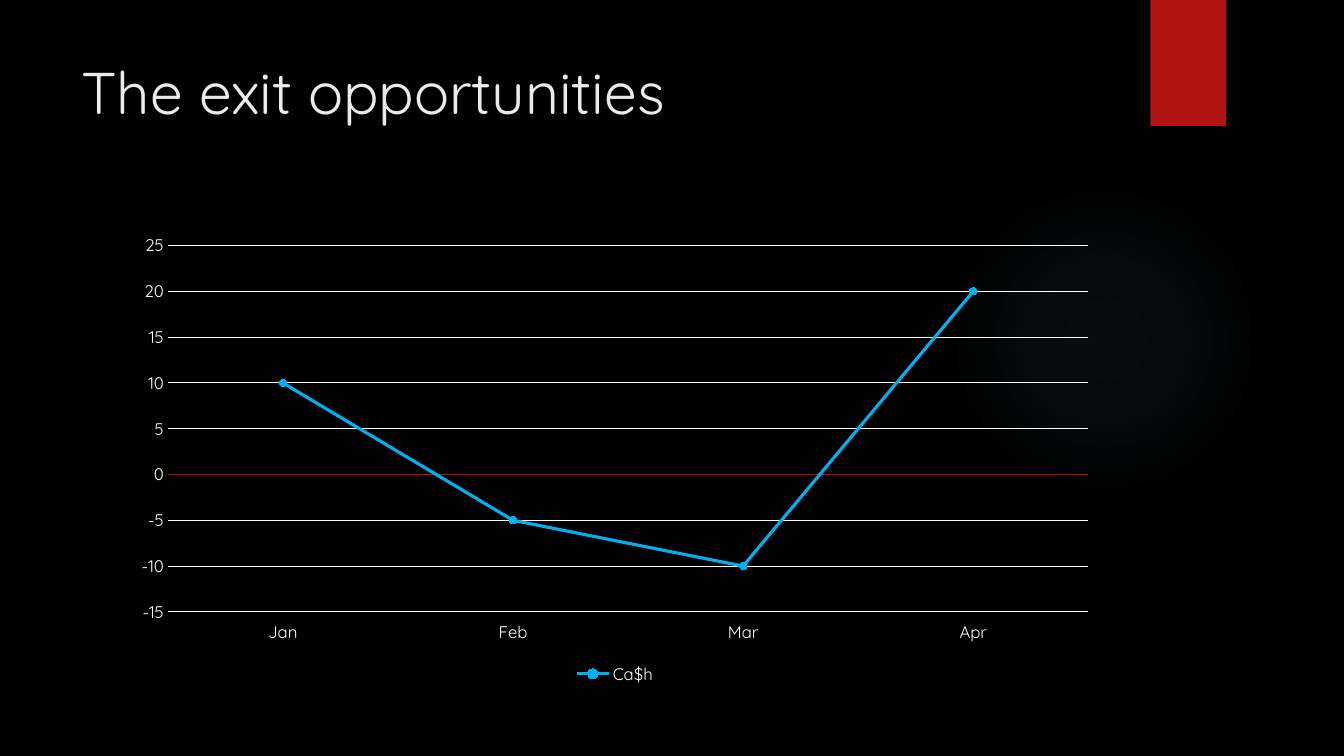
"""Build the exit opportunities slide with its monthly cash line chart."""
from dataclasses import dataclass

from pptx import Presentation
from pptx.chart.data import CategoryChartData
from pptx.dml.color import RGBColor
from pptx.enum.chart import XL_CHART_TYPE as ChartType
from pptx.enum.chart import XL_LEGEND_POSITION as LegendPosition
from pptx.enum.chart import XL_MARKER_STYLE as MarkerStyle
from pptx.enum.chart import XL_TICK_LABEL_POSITION as LabelPosition
from pptx.enum.chart import XL_TICK_MARK as TickMark
from pptx.enum.shapes import MSO_SHAPE as ShapeKind
from pptx.enum.text import MSO_ANCHOR as Anchor
from pptx.oxml import parse_xml
from pptx.oxml.ns import nsdecls
from pptx.shapes.autoshape import Shape
from pptx.slide import Slide
from pptx.text.text import Font
from pptx.util import Inches, Pt

BLACK = RGBColor(0x00, 0x00, 0x00)
WHITE = RGBColor(0xFF, 0xFF, 0xFF)
OFF_WHITE = RGBColor(0xEB, 0xEB, 0xEB)
RED = RGBColor(0xB0, 0x15, 0x13)
BLUE = RGBColor(0x00, 0xB0, 0xF0)
TEAL = RGBColor(0x50, 0xB9, 0xC1)
FONT_NAME = "Quicksand"
GLOW_STOPS = ((0, 7), (36, 6), (69, 0))


@dataclass(frozen=True)
class Decoration:
    kind: ShapeKind
    left: float
    top: float
    width: float
    height: float


GLOW = Decoration(ShapeKind.OVAL, 9.41, 1.83, 3.08, 3.08)
RIBBON = Decoration(ShapeKind.RECTANGLE, 11.41, 0, 0.75, 1.25)


def add_decoration(slide: Slide, item: Decoration) -> Shape:
    shape = slide.shapes.add_shape(
        item.kind, Inches(item.left), Inches(item.top), Inches(item.width), Inches(item.height)
    )
    shape.line.fill.background()
    shape.shadow.inherit = False
    return shape


def fill_with_glow(shape: Shape) -> None:
    stops = "".join(
        f'<a:gs pos="{position * 1000}"><a:srgbClr val="{TEAL}">'
        f'<a:alpha val="{alpha * 1000}"/></a:srgbClr></a:gs>'
        for position, alpha in GLOW_STOPS
    )
    gradient = parse_xml(
        f'<a:gradFill {nsdecls("a")} rotWithShape="1"><a:gsLst>{stops}</a:gsLst>'
        '<a:path path="circle"><a:fillToRect l="50000" t="50000" r="50000" b="50000"/>'
        "</a:path></a:gradFill>"
    )
    shape.element.spPr.prstGeom.addnext(gradient)


def add_drop_shadow(shape: Shape) -> None:
    shadow = parse_xml(
        f'<a:outerShdw {nsdecls("a")} blurRad="{Pt(3)}" dist="{Pt(2)}" dir="5400000" '
        f'rotWithShape="0"><a:srgbClr val="{BLACK}"><a:alpha val="45000"/></a:srgbClr>'
        "</a:outerShdw>"
    )
    shape.element.spPr.find("{*}effectLst").append(shadow)


def style_font(font: Font, size: float, color: RGBColor) -> None:
    font.name = FONT_NAME
    font.size = Pt(size)
    font.color.rgb = color


def add_title(slide: Slide, text: str) -> None:
    title = slide.shapes.add_textbox(Inches(0.71), Inches(0.5), Inches(10.29), Inches(1.53))
    text_frame = title.text_frame
    text_frame.word_wrap = True
    text_frame.vertical_anchor = Anchor.TOP
    text_frame.text = text
    style_font(text_frame.paragraphs[0].runs[0].font, 42, OFF_WHITE)


def add_cash_chart(slide: Slide) -> None:
    data = CategoryChartData()
    data.categories = ["Jan", "Feb", "Mar", "Apr"]
    data.add_series("Ca$h", (10, -5, -10, 20))
    chart = slide.shapes.add_chart(
        ChartType.LINE_MARKERS, Inches(1.21), Inches(2.24), Inches(9.78), Inches(4.59), data
    ).chart
    chart.has_title = False
    style_font(chart.font, 10, WHITE)

    chart.has_legend = True
    chart.legend.position = LegendPosition.BOTTOM
    chart.legend.include_in_layout = False
    style_font(chart.legend.font, 12, WHITE)

    for axis in (chart.category_axis, chart.value_axis):
        axis.major_tick_mark = axis.minor_tick_mark = TickMark.NONE
        style_font(axis.tick_labels.font, 12, WHITE)
    chart.category_axis.tick_label_position = LabelPosition.LOW
    chart.category_axis.format.line.color.rgb = RED
    chart.value_axis.format.line.fill.background()
    gridlines = chart.value_axis.major_gridlines.format.line
    gridlines.color.rgb = WHITE
    gridlines.width = Pt(0.75)

    plot = chart.plots[0]
    plot.vary_by_categories = False
    cash = plot.series[0]
    cash.smooth = False
    cash.format.line.color.rgb = BLUE
    cash.format.line.width = Pt(2.25)
    cash.marker.style = MarkerStyle.CIRCLE
    cash.marker.size = 5
    cash.marker.format.fill.solid()
    cash.marker.format.fill.fore_color.rgb = BLUE
    cash.marker.format.line.color.rgb = BLUE


def main() -> None:
    presentation = Presentation()
    presentation.slide_width = Inches(13.33)
    presentation.slide_height = Inches(7.5)
    slide = presentation.slides.add_slide(presentation.slide_layouts[6])
    slide.background.fill.solid()
    slide.background.fill.fore_color.rgb = BLACK

    fill_with_glow(add_decoration(slide, GLOW))
    ribbon = add_decoration(slide, RIBBON)
    ribbon.fill.solid()
    ribbon.fill.fore_color.rgb = RED
    add_drop_shadow(ribbon)

    add_title(slide, "The exit opportunities")
    add_cash_chart(slide)
    presentation.save("out.pptx")


if __name__ == "__main__":
    main()
